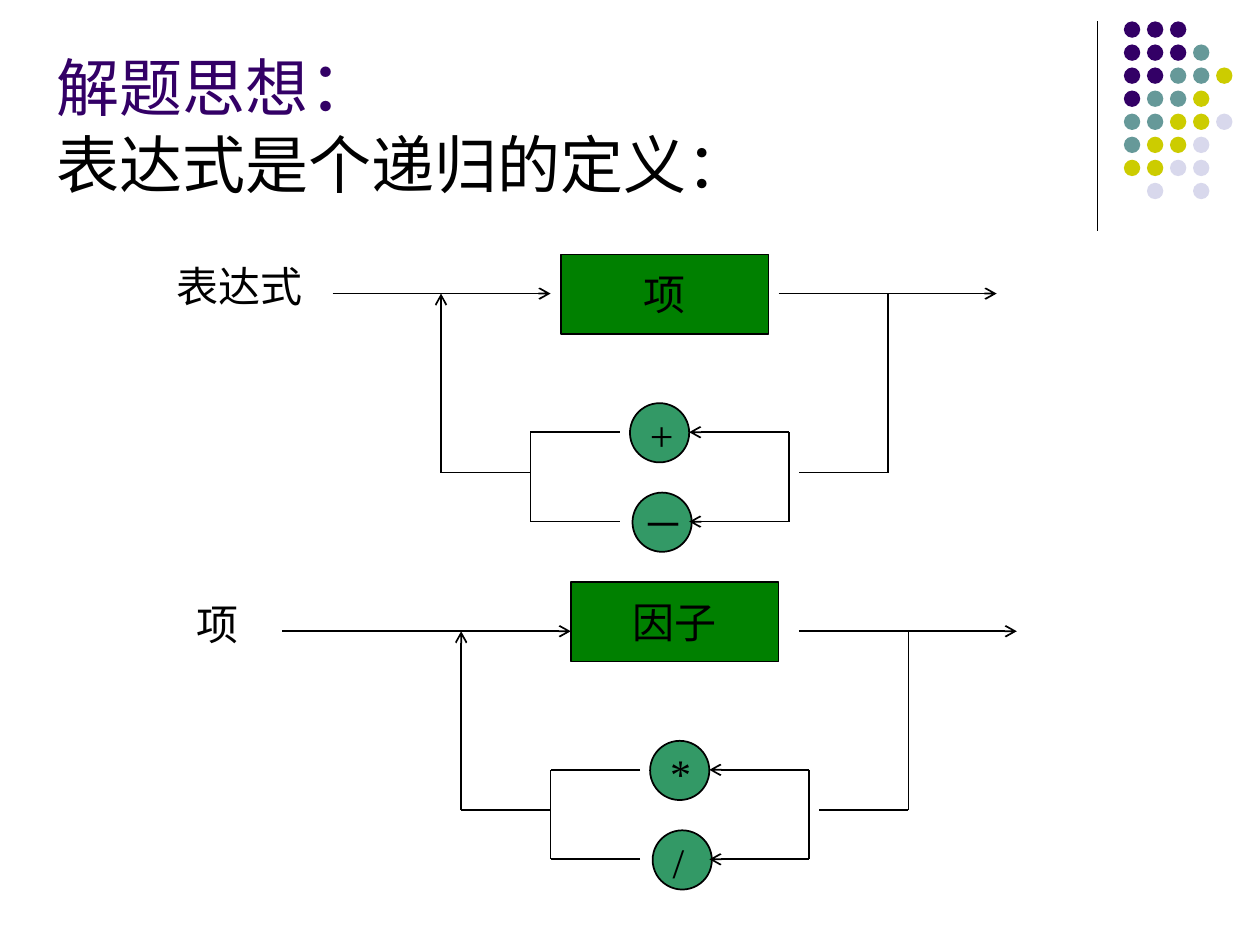
from dataclasses import dataclass

from lxml.etree import SubElement
from pptx import Presentation
from pptx.dml.color import RGBColor
from pptx.enum.shapes import MSO_CONNECTOR, MSO_SHAPE
from pptx.enum.text import MSO_ANCHOR, MSO_AUTO_SIZE, PP_ALIGN
from pptx.oxml.ns import qn
from pptx.util import Inches, Pt


@dataclass(frozen=True)
class Theme:
    font: str = "Times New Roman"
    ink: RGBColor = RGBColor(0x00, 0x00, 0x00)
    purple: RGBColor = RGBColor(0x33, 0x00, 0x66)
    teal: RGBColor = RGBColor(0x66, 0x99, 0x99)
    olive: RGBColor = RGBColor(0xCC, 0xCC, 0x00)
    lilac: RGBColor = RGBColor(0xD8, 0xD8, 0xEC)
    box_green: RGBColor = RGBColor(0x00, 0x80, 0x00)
    circle_green: RGBColor = RGBColor(0x33, 0x99, 0x66)
    title_size: Pt = Pt(36)
    colon_size: Pt = Pt(40)
    label_size: Pt = Pt(24)


theme = Theme()
deck = Presentation()
deck.slide_width, deck.slide_height = Inches(10), Inches(7.5)
page = deck.slides.add_slide(deck.slide_layouts[5])


def add_line(x1, y1, x2, y2, arrow=False, width=1):
    line = page.shapes.add_connector(
        MSO_CONNECTOR.STRAIGHT, Inches(x1), Inches(y1), Inches(x2), Inches(y2))
    line.line.color.rgb = theme.ink
    line.line.width = Pt(width)
    if arrow:
        SubElement(line.line._get_or_add_ln(), qn("a:tailEnd"), type="arrow")
    SubElement(line._element.spPr, qn("a:effectLst"))


def add_label(text, x, y, width, height, shape_kind=None):
    area = Inches(x), Inches(y), Inches(width), Inches(height)
    if shape_kind is None:
        box = page.shapes.add_textbox(*area)
        box.text_frame.word_wrap = True
    else:
        box = page.shapes.add_shape(shape_kind, *area)
        box.shadow.inherit = False
        box.fill.solid()
        box.fill.fore_color.rgb = theme.box_green
        box.line.color.rgb = theme.ink
        box.line.width = Pt(1)
        box.text_frame.word_wrap = False
        box.text_frame.vertical_anchor = MSO_ANCHOR.MIDDLE
    box.text_frame.text = text
    para = box.text_frame.paragraphs[0]
    para.alignment = PP_ALIGN.LEFT if shape_kind is None else PP_ALIGN.CENTER
    para.font.name = theme.font
    para.font.size = theme.label_size
    para.font.color.rgb = theme.ink


# Title
title = page.shapes.title
title.left, title.top = Inches(0.35), Inches(0.28)
title.width, title.height = Inches(8.7), Inches(1.37)
frame = title.text_frame
frame.word_wrap = True
frame.auto_size = MSO_AUTO_SIZE.NONE
frame.vertical_anchor = MSO_ANCHOR.TOP
frame.text = "解题思想\n表达式是个递归的定义："
frame.paragraphs[0].add_run().text = "："
for para, color in zip(frame.paragraphs, (theme.purple, theme.ink)):
    para.alignment = PP_ALIGN.LEFT
    for span in para.runs:
        span.font.name = theme.font
        span.font.size = theme.title_size
        span.font.color.rgb = color
frame.paragraphs[0].runs[1].font.size = theme.colon_size

# Corner decoration: a rule and a grid of dots
add_line(8.71, 0.17, 8.71, 1.83, width=0.75)
dot_colors = {"P": theme.purple, "T": theme.teal, "O": theme.olive, "L": theme.lilac}
dot_rows = ["PPP", "PPPT", "PPTTO", "PTTO", "TTOOL", "TOOL", "OOLL", ".L.L"]
for row, letters in enumerate(dot_rows):
    for column, letter in enumerate(letters):
        if letter == ".":
            continue
        dot = page.shapes.add_shape(
            MSO_SHAPE.OVAL, Inches(8.92 + column * 0.183), Inches(0.17 + row * 0.183),
            Inches(0.13), Inches(0.13))
        dot.shadow.inherit = False
        dot.fill.solid()
        dot.fill.fore_color.rgb = dot_colors[letter]
        dot.line.fill.background()

# Syntax diagrams: dx, dy, name, name position, entry start and end,
# block text, block position, operators with their text position
diagrams = [
    (0, 0, "表达式", (1.3, 2.02), (2.64, 4.37), "项", (4.45, 2.02),
     [("+", 5.06), ("－", 5)]),
    (0.16, 2.68, "项", (1.46, 4.7), (2.24, 4.53), "因子", (4.53, 4.62),
     [("*", 5.22), ("/", 5.24)]),
]
for dx, dy, name, name_at, entry, block, block_at, operators in diagrams:
    main_y, loop_y = 2.33 + dy, 3.75 + dy
    split_left, split_right = 4.21 + dx, 6.26 + dx
    rise_x, fall_x = 3.5 + dx, 7.05 + dx

    # Main path
    add_label(name, *name_at, 1.73, 0.5)
    add_line(entry[0], main_y, entry[1], main_y, arrow=True)
    add_label(block, *block_at, 1.65, 0.63, MSO_SHAPE.RECTANGLE)
    add_line(6.18 + dx, main_y, 7.91 + dx, main_y, arrow=True)

    # Loop back to the start
    add_line(fall_x, main_y, fall_x, loop_y)
    add_line(fall_x, loop_y, 6.34 + dx, loop_y)
    add_line(split_left, loop_y, rise_x, loop_y)
    add_line(rise_x, loop_y, rise_x, main_y, arrow=True)

    # Operator branches
    for x in (split_left, split_right):
        add_line(x, 3.43 + dy, x, 4.14 + dy)
    for index, (symbol, symbol_x) in enumerate(operators):
        top = 3.2 + dy + index * 0.71
        branch_y = top + 0.23
        circle = page.shapes.add_shape(
            MSO_SHAPE.OVAL, Inches(5 + dx + index * 0.02), Inches(top),
            Inches(0.47), Inches(0.47))
        circle.shadow.inherit = False
        circle.fill.solid()
        circle.fill.fore_color.rgb = theme.circle_green
        circle.line.color.rgb = theme.ink
        circle.line.width = Pt(1)
        add_label(symbol, symbol_x, top, 0.39, 0.5)
        add_line(split_right, branch_y, 5.47 + dx, branch_y, arrow=True)
        add_line(4.92 + dx, branch_y, split_left, branch_y)

deck.save("out.pptx")
